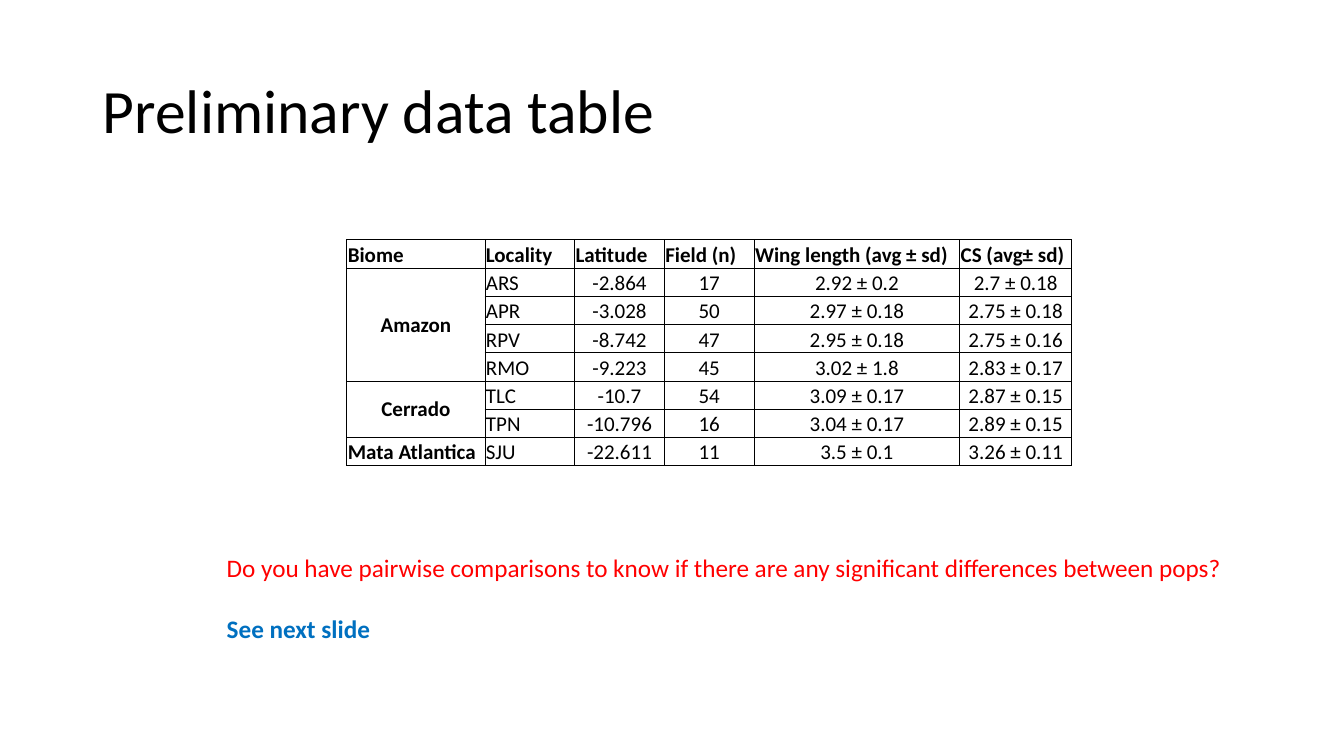
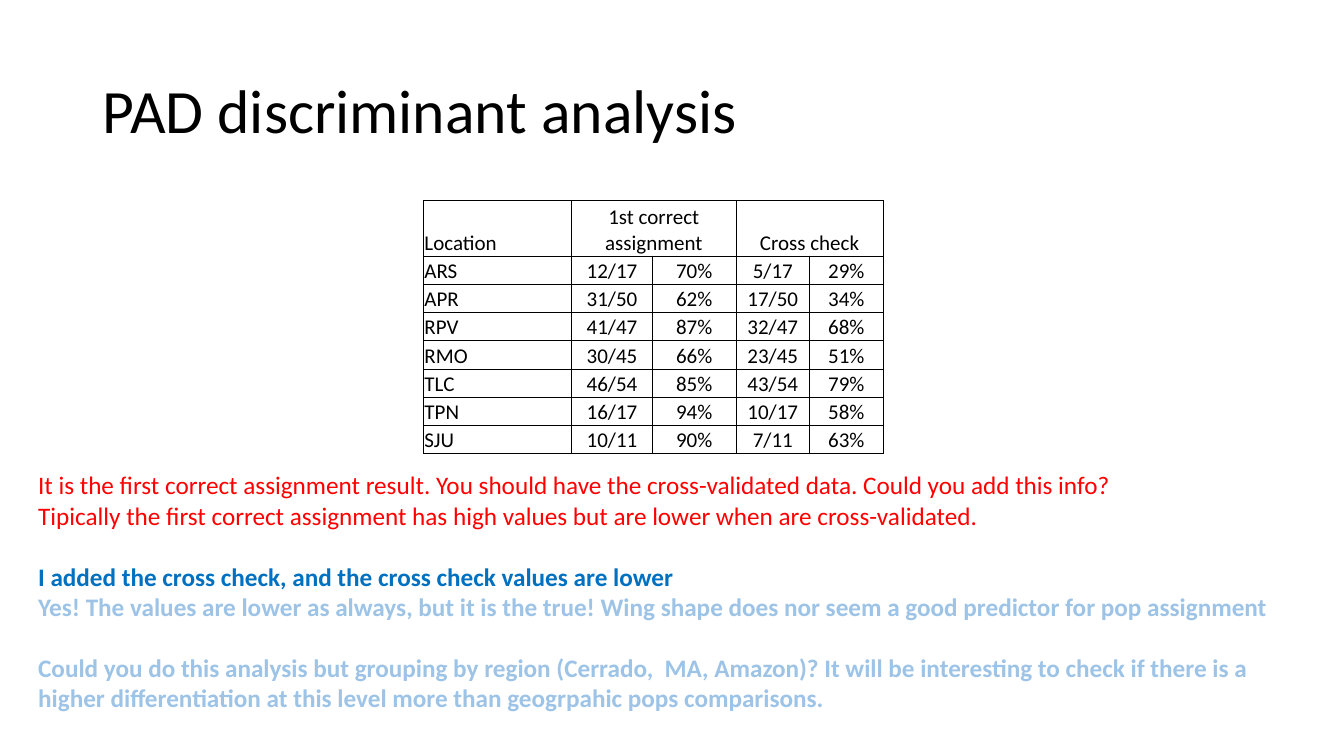
from lxml import etree
from pptx import Presentation
from pptx.dml.color import RGBColor
from pptx.enum import text as t
from pptx.oxml import ns
from pptx.util import Inches, Pt

FONT = "Calibri"
BLACK, RED, BLUE, PALE_BLUE = "000000", "FF0000", "0070C0", "9DC3E6"
THIN, THICK = 0.5, 1
TITLE_ONLY = 5
NOTE_GAP = 22

BIOME_HEADER = ["Biome", "Locality", "Latitude", "Field (n)",
                "Wing length (avg ± sd)", "CS (avg± sd)"]
BIOME_ROWS = [
    ["Amazon", "ARS", "-2.864", "17", "2.92 ± 0.2", "2.7 ± 0.18"],
    ["", "APR", "-3.028", "50", "2.97 ± 0.18", "2.75 ± 0.18"],
    ["", "RPV", "-8.742", "47", "2.95 ± 0.18", "2.75 ± 0.16"],
    ["", "RMO", "-9.223", "45", "3.02 ± 1.8", "2.83 ± 0.17"],
    ["Cerrado", "TLC", "-10.7", "54", "3.09 ± 0.17", "2.87 ± 0.15"],
    ["", "TPN", "-10.796", "16", "3.04 ± 0.17", "2.89 ± 0.15"],
    ["Mata Atlantica", "SJU", "-22.611", "11", "3.5 ± 0.1", "3.26 ± 0.11"],
]
ASSIGNMENT_HEADER = ["Location", "1st correct assignment", "", "Cross check", ""]
ASSIGNMENT_ROWS = [
    ["ARS", "12/17", "70%", "5/17", "29%"],
    ["APR", "31/50", "62%", "17/50", "34%"],
    ["RPV", "41/47", "87%", "32/47", "68%"],
    ["RMO", "30/45", "66%", "23/45", "51%"],
    ["TLC", "46/54", "85%", "43/54", "79%"],
    ["TPN", "16/17", "94%", "10/17", "58%"],
    ["SJU", "10/11", "90%", "7/11", "63%"],
]


def color(value):
    return RGBColor.from_string(value)


def set_attributes(target, values):
    for name, value in values.items():
        setattr(target, name, value)


def write(paragraph, content, size, hex_color=BLACK, bold=False,
          align=t.PP_ALIGN.LEFT):
    paragraph.alignment = align
    run = paragraph.add_run()
    run.text = content
    set_attributes(run.font, {"name": FONT, "size": Pt(size), "bold": bold})
    run.font.color.rgb = color(hex_color)


def add_titled_slide(presentation, title):
    slide = presentation.slides.add_slide(presentation.slide_layouts[TITLE_ONLY])
    shape = slide.shapes.title
    set_attributes(shape, {"left": Inches(0.92), "top": Inches(0.4),
                           "width": Inches(11.5), "height": Inches(1.45)})
    set_attributes(shape.text_frame, {"vertical_anchor": t.MSO_ANCHOR.MIDDLE,
                                      "word_wrap": True,
                                      "auto_size": t.MSO_AUTO_SIZE.NONE})
    paragraph = shape.text_frame.paragraphs[0]
    paragraph.line_spacing = 0.9
    write(paragraph, title, 44)
    return slide


def add_notes_box(slide, box, notes):
    """Each note is (text, colour, bold, space before in points)."""
    shape = slide.shapes.add_textbox(*map(Inches, box))
    frame = shape.text_frame
    set_attributes(frame, {"word_wrap": False,
                           "auto_size": t.MSO_AUTO_SIZE.SHAPE_TO_FIT_TEXT})
    for index, (content, hex_color, bold, gap) in enumerate(notes):
        paragraph = frame.add_paragraph() if index else frame.paragraphs[0]
        paragraph.space_before = Pt(gap)
        write(paragraph, content, 18, hex_color, bold)


def set_borders(cell, widths):
    """Widths are in points, in the order left, right, top, bottom."""
    properties = cell._tc.get_or_add_tcPr()
    for index, (side, width) in enumerate(zip("LRTB", widths)):
        line = etree.Element(ns.qn(f"a:ln{side}"), w=str(Pt(width)))
        fill = etree.SubElement(line, ns.qn("a:solidFill"))
        etree.SubElement(fill, ns.qn("a:srgbClr"), val=BLACK)
        properties.insert(index, line)


def add_grid(slide, position, widths, heights, rows, merges, outer=THIN,
             bold=lambda row, column: False, left=lambda row, column: False):
    """Merges are (first row, first column, last row, last column)."""
    shape = slide.shapes.add_table(
        len(rows), len(widths), *map(Inches, (*position, sum(widths), sum(heights))))
    table = shape.table
    set_attributes(table, {"first_row": False, "horz_banding": False})
    for column, width in zip(table.columns, widths):
        column.width = Inches(width)
    for row, height in zip(table.rows, heights):
        row.height = Inches(height)
    merged_down = {(top, start) for top, start, bottom, _ in merges if bottom > top}
    last_row, last_column = len(rows) - 1, len(widths) - 1
    for r, values in enumerate(rows):
        for c, content in enumerate(values):
            cell = table.cell(r, c)
            middle = (r, c) in merged_down or content == "Mata Atlantica"
            set_attributes(cell, {
                "margin_left": Inches(0.01), "margin_right": Inches(0.01),
                "margin_top": Inches(0.01), "margin_bottom": 0,
                "vertical_anchor": t.MSO_ANCHOR.MIDDLE if middle else t.MSO_ANCHOR.BOTTOM})
            cell.fill.background()
            on_edge = (c == 0, c == last_column, r == 0, r == last_row)
            set_borders(cell, [outer if edge else THIN for edge in on_edge])
            if content:
                align = t.PP_ALIGN.LEFT if left(r, c) else t.PP_ALIGN.CENTER
                write(cell.text_frame.paragraphs[0], content, 15,
                      bold=bold(r, c), align=align)
    for top, start, bottom, end in merges:
        table.cell(top, start).merge(table.cell(bottom, end))


def build_data_slide(presentation):
    slide = add_titled_slide(presentation, "Preliminary data table")
    rows = [BIOME_HEADER] + BIOME_ROWS
    add_grid(slide, (3.44, 2.38), [1.37, 0.89, 0.89, 0.89, 2.04, 1.11],
             [0.28] * len(rows), rows, [(1, 0, 4, 0), (5, 0, 6, 0)], THICK,
             bold=lambda r, c: r == 0 or c == 0,
             left=lambda r, c: r == 0 or c == 1 or (r, c) == (7, 0))
    add_notes_box(slide, (2.15, 5.43, 10.19, 1.01), [
        ("Do you have pairwise comparisons to know if there are any significant "
         "differences between pops?", RED, False, 0),
        ("See next slide", BLUE, True, NOTE_GAP),
    ])


def build_analysis_slide(presentation):
    slide = add_titled_slide(presentation, "PAD discriminant analysis")
    add_notes_box(slide, (0.28, 4.61, 12.49, 2.52), [
        ("It is the first correct assignment result. You should have the "
         "cross-validated data. Could you add this info?", RED, False, 0),
        ("Tipically the first correct assignment has high values but are lower "
         "when are cross-validated.", RED, False, 0),
        ("I added the cross check, and the cross check values are lower",
         BLUE, True, NOTE_GAP),
        ("Yes! The values are lower as always, but it is the true! Wing shape does "
         "nor seem a good predictor for pop assignment", PALE_BLUE, True, 0),
        ("Could you do this analysis but grouping by region (Cerrado,  MA, Amazon)? "
         "It will be interesting to check if there is a", PALE_BLUE, True, NOTE_GAP),
        ("higher differentiation at this level more than geogrpahic pops "
         "comparisons.", PALE_BLUE, True, 0),
    ])
    rows = [ASSIGNMENT_HEADER] + ASSIGNMENT_ROWS
    add_grid(slide, (4.2, 1.99), [1.47, 0.8, 0.83, 0.73, 0.73],
             [0.55] + [0.28] * len(ASSIGNMENT_ROWS), rows,
             [(0, 1, 0, 2), (0, 3, 0, 4)], left=lambda r, c: c == 0)


def main():
    presentation = Presentation()
    set_attributes(presentation, {"slide_width": Inches(13.33),
                                  "slide_height": Inches(7.5)})
    build_data_slide(presentation)
    build_analysis_slide(presentation)
    presentation.save("out.pptx")


main()
